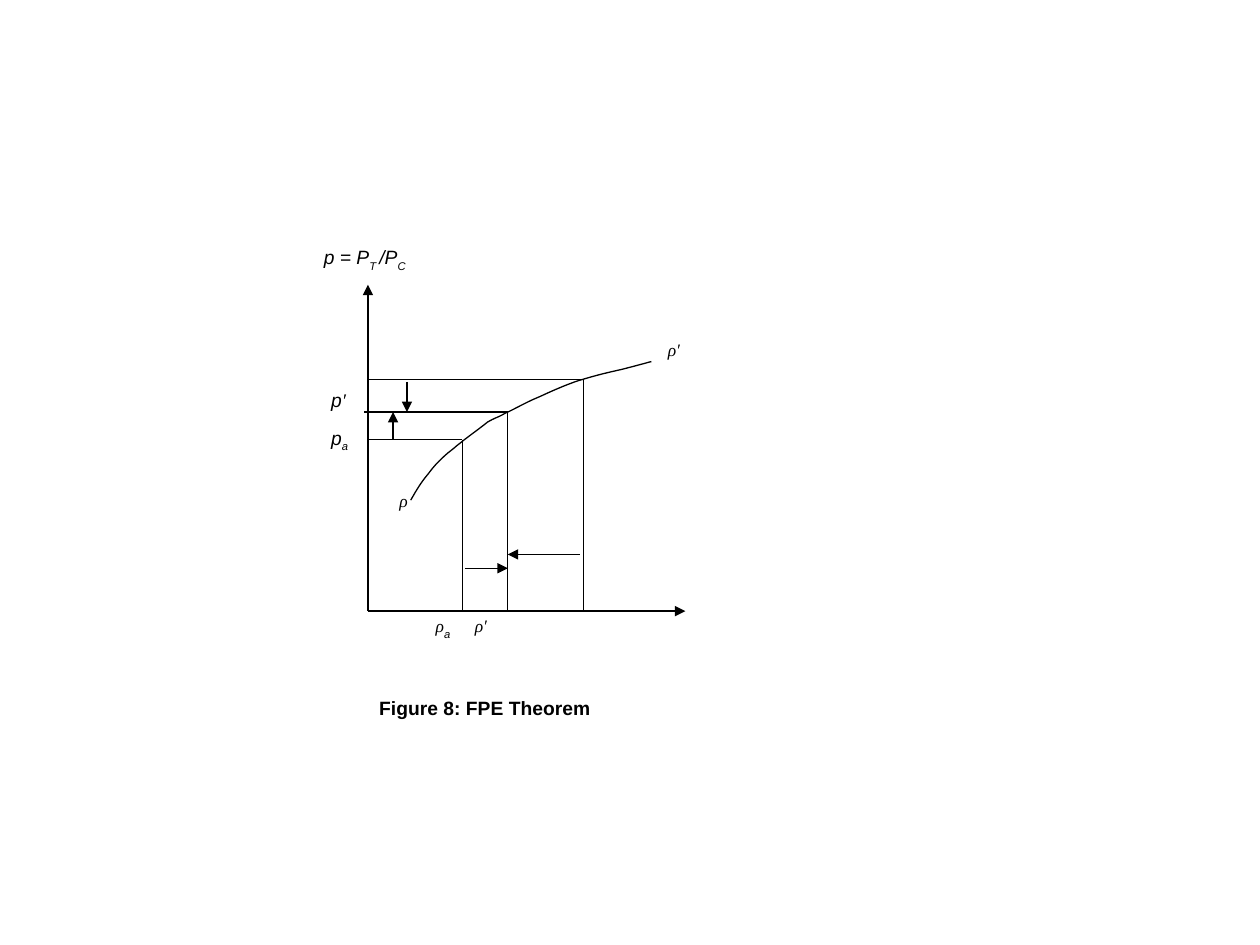
from lxml import etree
from pptx import Presentation
from pptx.dml.color import RGBColor
from pptx.enum.shapes import MSO_CONNECTOR
from pptx.oxml.ns import qn
from pptx.util import Inches, Pt

STRAIGHT = MSO_CONNECTOR.STRAIGHT
COLORS = {"ink": "000000"}
LINE_WIDTH = 0.75
CURVE_STEPS = 10

# Diagram coordinates in inches
X0, Y0 = 2.92, 4.85
X_END, Y_END = 5.44, 2.26
AUTARKY = (3.67, 3.49)
TRADE = (4.03, 3.27)
FOREIGN = (4.63, 3.01)

GUIDES = [(X0, AUTARKY), (2.89, TRADE), (X0, FOREIGN)]  # left end, point on curve
ARROWS = [
    ((X0, Y0), (X_END, Y0)),
    ((X0, Y0), (X0, Y_END)),
    ((3.69, 4.51), (TRADE[0], 4.51)),
    ((4.6, 4.4), (TRADE[0], 4.4)),
    ((3.12, AUTARKY[1]), (3.12, TRADE[1])),
    ((3.23, 3.03), (3.23, TRADE[1])),
]
CURVE_START = (3.26, 3.97)
CURVE = [  # two control points and an end point for each cubic segment
    ((3.3, 3.9), (3.34, 3.83), (3.4, 3.76)),
    ((3.45, 3.69), (3.52, 3.62), (3.6, 3.56)),
    ((3.68, 3.49), (3.81, 3.4), (3.87, 3.35)),
    ((3.94, 3.31), (3.94, 3.32), (4.01, 3.28)),
    ((4.08, 3.25), (4.18, 3.19), (4.28, 3.15)),
    ((4.39, 3.1), (4.52, 3.04), (4.63, 3.01)),
    ((4.73, 2.98), (4.81, 2.96), (4.9, 2.94)),
    ((4.99, 2.92), (5.13, 2.88), (5.17, 2.87)),
]

LATIN = {"name": "Arial", "size": Pt(11), "italic": True}
GREEK = {"name": "Times New Roman", "size": Pt(10), "italic": True}
PRIME = {**GREEK, "size": Pt(11)}
CAPTION = {"name": "Arial", "size": Pt(11), "bold": True}
TIGHT, NORMAL = (0.06, 0.03), (0.1, 0.05)
TAB = 0.31

LABELS = [  # box, insets, runs of (text, format, is subscript)
    ((2.51, 1.92, 1.18, 0.32), TIGHT,
     [("p = P", LATIN, False), ("T ", LATIN, True), ("/P", LATIN, False), ("C", LATIN, True)]),
    ((3.11, 3.86, 0.36, 0.33), TIGHT, [("ρ", GREEK, False)]),
    ((5.24, 2.66, 0.48, 0.33), TIGHT, [("ρ′", GREEK, False)]),
    ((2.95, 5.5, 2.45, 0.56), TIGHT, [("Figure 8: FPE Theorem", CAPTION, False)]),
    ((2.53, 3.33, 0.59, 0.38), NORMAL, [("p", LATIN, False), ("a", LATIN, True)]),
    ((2.53, 3.03, 0.59, 0.39), NORMAL, [("p", LATIN, False), ("′", PRIME, False)]),
    ((3.36, 4.82, 1.28, 0.39), NORMAL,
     [("ρ", GREEK, False), ("a", LATIN, True), ("\tρ′", GREEK, False)]),
]


def style_line(line):
    line.color.rgb = RGBColor.from_string(COLORS["ink"])
    line.width = Pt(LINE_WIDTH)


def add_line(s, start, end, arrow=False):
    sp = s.shapes.add_connector(STRAIGHT, *map(Inches, start + end))
    style_line(sp.line)
    if arrow:
        etree.SubElement(sp.line._get_or_add_ln(), qn("a:tailEnd"), type="triangle")
    etree.SubElement(sp._element.spPr, qn("a:effectLst"))


def bezier(p0, p1, p2, p3, t):
    u = 1 - t
    return tuple(u**3 * a + 3 * u * u * t * b + 3 * u * t * t * c + t**3 * d
                 for a, b, c, d in zip(p0, p1, p2, p3))


def add_curve(s):
    points = [CURVE_START]
    for segment in CURVE:
        start = points[-1]
        points += [bezier(start, *segment, i / CURVE_STEPS) for i in range(1, CURVE_STEPS + 1)]
    # The builder rounds to whole units, so its points are given in EMU
    first, *rest = [(Inches(x), Inches(y)) for x, y in points]
    builder = s.shapes.build_freeform(*first)
    builder.add_line_segments(rest, close=False)
    sp = builder.convert_to_shape()
    sp.shadow.inherit = False
    sp.fill.background()
    style_line(sp.line)


def add_label(s, box, insets, runs):
    tf = s.shapes.add_textbox(*map(Inches, box)).text_frame
    tf.word_wrap = True
    tf.margin_left = tf.margin_right = Inches(insets[0])
    tf.margin_top = tf.margin_bottom = Inches(insets[1])
    p = tf.paragraphs[0]
    if any("\t" in text for text, _, _ in runs):
        tabs = etree.SubElement(p._p.get_or_add_pPr(), qn("a:tabLst"))
        etree.SubElement(tabs, qn("a:tab"), pos=str(Inches(TAB)), algn="l")
    for text, style, subscript in runs:
        r = p.add_run()
        r.text = text
        for key, value in style.items():
            setattr(r.font, key, value)
        r.font.color.rgb = RGBColor.from_string(COLORS["ink"])
        if subscript:
            r._r.get_or_add_rPr().set("baseline", "-30000")


def main():
    prs = Presentation()
    prs.slide_width, prs.slide_height = Inches(10), Inches(7.5)
    s = prs.slides.add_slide(prs.slide_layouts[6])
    add_curve(s)
    for left, (x, y) in GUIDES:
        add_line(s, (left, y), (x, y))
        add_line(s, (x, y), (x, Y0))
    for start, end in ARROWS:
        add_line(s, start, end, arrow=True)
    for label in LABELS:
        add_label(s, *label)
    prs.save("out.pptx")


if __name__ == "__main__":
    main()
